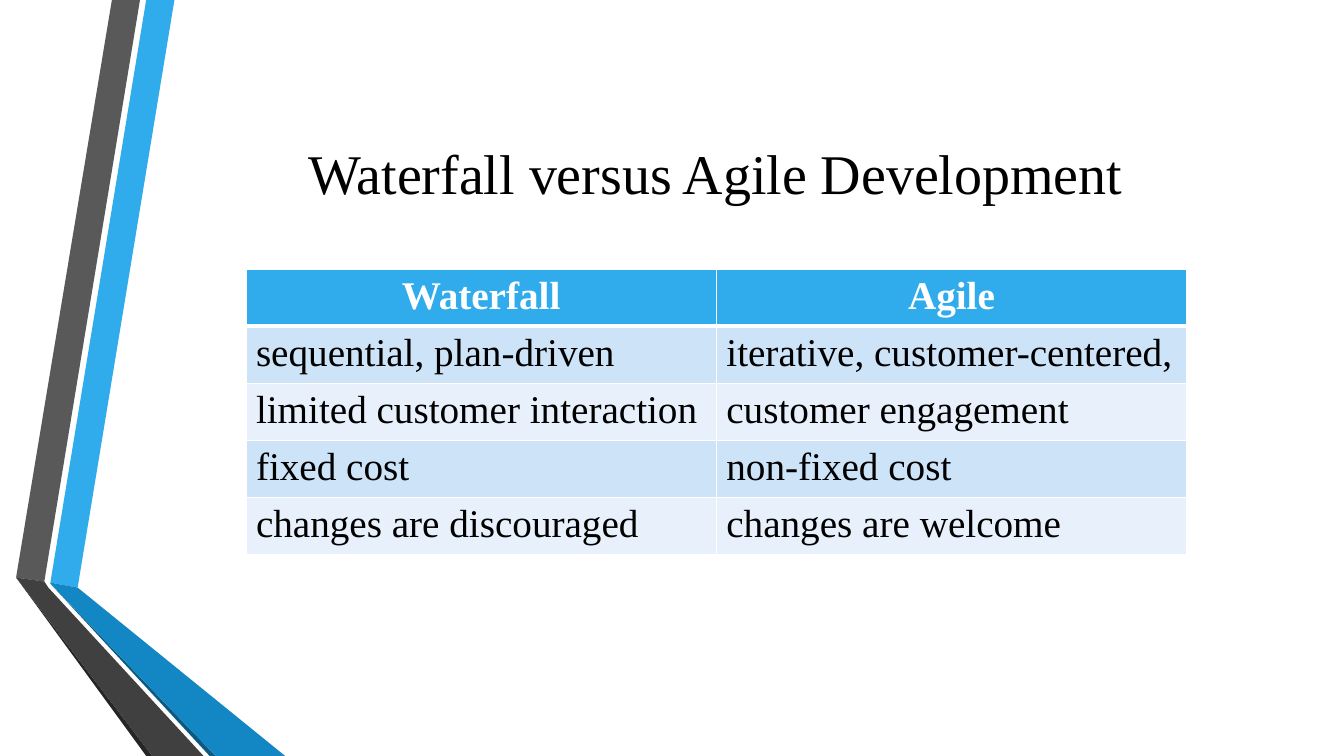
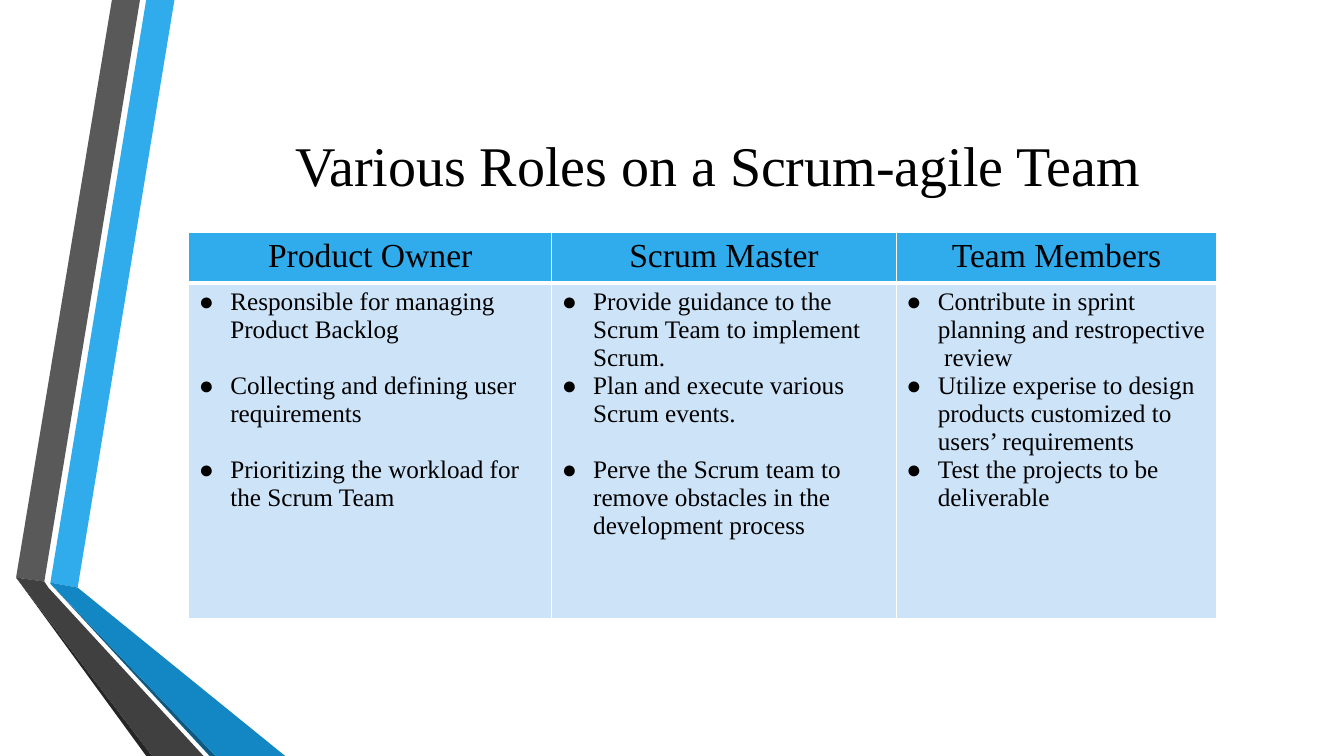
from dataclasses import dataclass

from lxml.etree import SubElement
from pptx import Presentation
from pptx.dml.color import RGBColor as Rgb
from pptx.enum.text import MSO_ANCHOR as Anchor, PP_ALIGN as Align
from pptx.oxml.ns import qn
from pptx.util import Emu, Inches, Pt


@dataclass(frozen=True)
class Theme:
    """Colours, font and type sizes of the deck."""
    font: str = "Times New Roman"
    ink: str = "000000"
    paper: str = "FFFFFF"
    accent: str = "30ACEC"
    accent_dark: str = "1287C3"
    accent_edge: str = "0C5A82"
    grey: str = "595959"
    grey_dark: str = "404040"
    grey_edge: str = "262626"
    row_tint: str = "CDE3F8"
    row_pale: str = "E8F1FB"
    title_size: int = 40
    large_size: int = 28
    heading_size: int = 24
    body_size: int = 18
    rule: int = 1
    header_rule: int = 3
    item_gap: int = 20


THEME = Theme()

RIBBONS = [
    (THEME.accent, [(3.75, 77.07), (5.78, 77.73), (12.98, 0), (10.88, 0)]),
    (THEME.grey, [(10.42, 0), (8.33, 0), (1.2, 76.4), (3.3, 76.93)]),
    (THEME.grey_edge, [(1.2, 76.4), (10.88, 100), (11.33, 100)]),
    (THEME.accent_edge, [(3.75, 77.2), (15.6, 100), (16.05, 100)]),
    (THEME.accent_dark, [(3.75, 77.07), (3.75, 77.2), (16.05, 100), (21.22, 100), (5.78, 77.73)]),
    (THEME.grey_dark, [(15.15, 100), (3.6, 77.73), (3.3, 76.93), (1.2, 76.4), (11.33, 100)]),
]


class Deck:
    """Draws styled elements, with lengths in percent of the slide's size."""

    def __init__(self, theme):
        """Start an empty widescreen deck."""
        self.theme = theme
        self.show = Presentation()
        self.show.slide_width = Inches(13.333)
        self.show.slide_height = Inches(7.5)
        self.slide = None

    def x(self, share):
        """Turn a percentage of the width into a length."""
        return Emu(round(self.show.slide_width * share / 100))

    def y(self, share):
        """Turn a percentage of the height into a length."""
        return Emu(round(self.show.slide_height * share / 100))

    def new_slide(self):
        """Open a blank slide with the folded ribbons."""
        self.slide = self.show.slides.add_slide(self.show.slide_layouts[6])
        background = self.slide.background.fill
        background.solid()
        background.fore_color.rgb = Rgb.from_string(self.theme.paper)
        for colour, corners in RIBBONS:
            self.ribbon(colour, corners)

    def ribbon(self, colour, corners):
        """Draw one flat face of a ribbon."""
        start, *others = [(self.x(across), self.y(down)) for across, down in corners]
        outline = self.slide.shapes.build_freeform(*start)
        outline.add_line_segments(others, close=True)
        face = outline.convert_to_shape()
        face.shadow.inherit = False
        face.fill.solid()
        face.fill.fore_color.rgb = Rgb.from_string(colour)
        face.line.fill.background()

    def add_words(self, paragraph, words, size, colour=None, bold=False, align=Align.LEFT):
        """Add a styled run to a paragraph."""
        paragraph.alignment = align
        run = paragraph.add_run()
        run.text = words
        run.font.name = self.theme.font
        run.font.size = Pt(size)
        run.font.bold = bold
        run.font.color.rgb = Rgb.from_string(colour or self.theme.ink)

    def title(self, words, left, top):
        """Place a centred slide title."""
        frame = self.slide.shapes.add_textbox(
            self.x(left), self.y(top), self.x(82.2), self.y(25.6)).text_frame
        frame.word_wrap = True
        frame.vertical_anchor = Anchor.MIDDLE
        self.add_words(frame.paragraphs[0], words, self.theme.title_size, align=Align.CENTER)

    def table(self, left, top, columns, rows):
        """Add an unstyled table with the given column and row shares."""
        grid = self.slide.shapes.add_table(
            len(rows), len(columns), self.x(left), self.y(top),
            self.x(sum(columns)), self.y(sum(rows))).table
        grid.first_row = grid.horz_banding = False
        for column, share in zip(grid.columns, columns):
            column.width = self.x(share)
        for row, share in zip(grid.rows, rows):
            row.height = self.y(share)
        return grid

    def paint(self, cell, colour, top_rule, bottom_rule):
        """Fill a cell and rule its four edges."""
        properties = cell._tc.get_or_add_tcPr()
        widths = {"L": self.theme.rule, "R": self.theme.rule, "T": top_rule, "B": bottom_rule}
        for side, width in widths.items():
            edge = SubElement(properties, qn(f"a:ln{side}"), w=str(Pt(width)))
            SubElement(SubElement(edge, qn("a:solidFill")), qn("a:srgbClr"), val=self.theme.paper)
        cell.fill.solid()
        cell.fill.fore_color.rgb = Rgb.from_string(colour)

    def header(self, grid, headings, size, colour, bold=False):
        """Fill the heading row of a table."""
        for cell, heading in zip(grid.rows[0].cells, headings):
            self.paint(cell, self.theme.accent, self.theme.rule, self.theme.header_rule)
            self.add_words(cell.text_frame.paragraphs[0], heading, size, colour, bold, Align.CENTER)

    def body_cell(self, grid, row, column):
        """Paint a body cell in its band colour and return its text frame."""
        cell = grid.cell(row, column)
        top_rule = self.theme.header_rule if row == 1 else self.theme.rule
        band = self.theme.row_tint if row % 2 else self.theme.row_pale
        self.paint(cell, band, top_rule, self.theme.rule)
        return cell.text_frame

    def bullets(self, frame, duties):
        """Add bulleted duties, each with an optional gap before it."""
        for index, (duty, spaced) in enumerate(duties):
            paragraph = frame.add_paragraph() if index else frame.paragraphs[0]
            paragraph.space_before = Pt(self.theme.item_gap if spaced else 0)
            properties = paragraph._p.get_or_add_pPr()
            indent = self.x(2.34)
            properties.set("marL", str(indent))
            properties.set("indent", str(-indent))
            SubElement(properties, qn("a:buFont"), typeface=self.theme.font)
            SubElement(properties, qn("a:buChar"), char="●")
            self.add_words(paragraph, duty, self.theme.body_size)


METHODS = ["Waterfall", "Agile"]
CONTRASTS = [
    ("sequential, plan-driven", "iterative, customer-centered,"),
    ("limited customer interaction", "customer engagement"),
    ("fixed cost", "non-fixed cost"),
    ("changes are discouraged", "changes are welcome"),
]
ROLES = {
    "Product Owner": [
        ("Responsible for managing Product Backlog", False),
        ("Collecting and defining user requirements", True),
        ("Prioritizing the workload for the Scrum Team", True),
    ],
    "Scrum Master": [
        ("Provide guidance to the Scrum Team to implement Scrum.", False),
        ("Plan and execute various Scrum events.", False),
        ("Perve the Scrum team to remove obstacles in the development process", True),
    ],
    "Team Members": [
        ("Contribute in sprint planning and restropective \u00a0review", False),
        ("Utilize experise to design products customized to users’ requirements", False),
        ("Test the projects to be deliverable", False),
    ],
}


def compare_methods(deck):
    """Build the comparison of the two methods."""
    deck.new_slide()
    deck.title("Waterfall versus Agile Development", 12.15, 10)
    comparison = deck.table(18.3, 35.6, [35] * len(METHODS), [5.6] * (len(CONTRASTS) + 1))
    deck.header(comparison, METHODS, deck.theme.large_size, deck.theme.paper, bold=True)
    for row, traits in enumerate(CONTRASTS, 1):
        for column, trait in enumerate(traits):
            frame = deck.body_cell(comparison, row, column)
            deck.add_words(frame.paragraphs[0], trait, deck.theme.large_size)


def describe_roles(deck):
    """Build the table of team roles."""
    deck.new_slide()
    deck.title("Various Roles on a Scrum-agile Team", 12.3, 8.93)
    roles = deck.table(14.05, 30.8, [27, 25.65, 23.85], [5.6, 44.4])
    deck.header(roles, ROLES, deck.theme.heading_size, deck.theme.ink)
    for column, duties in enumerate(ROLES.values()):
        deck.bullets(deck.body_cell(roles, 1, column), duties)


deck = Deck(THEME)
compare_methods(deck)
describe_roles(deck)
deck.show.save("out.pptx")
